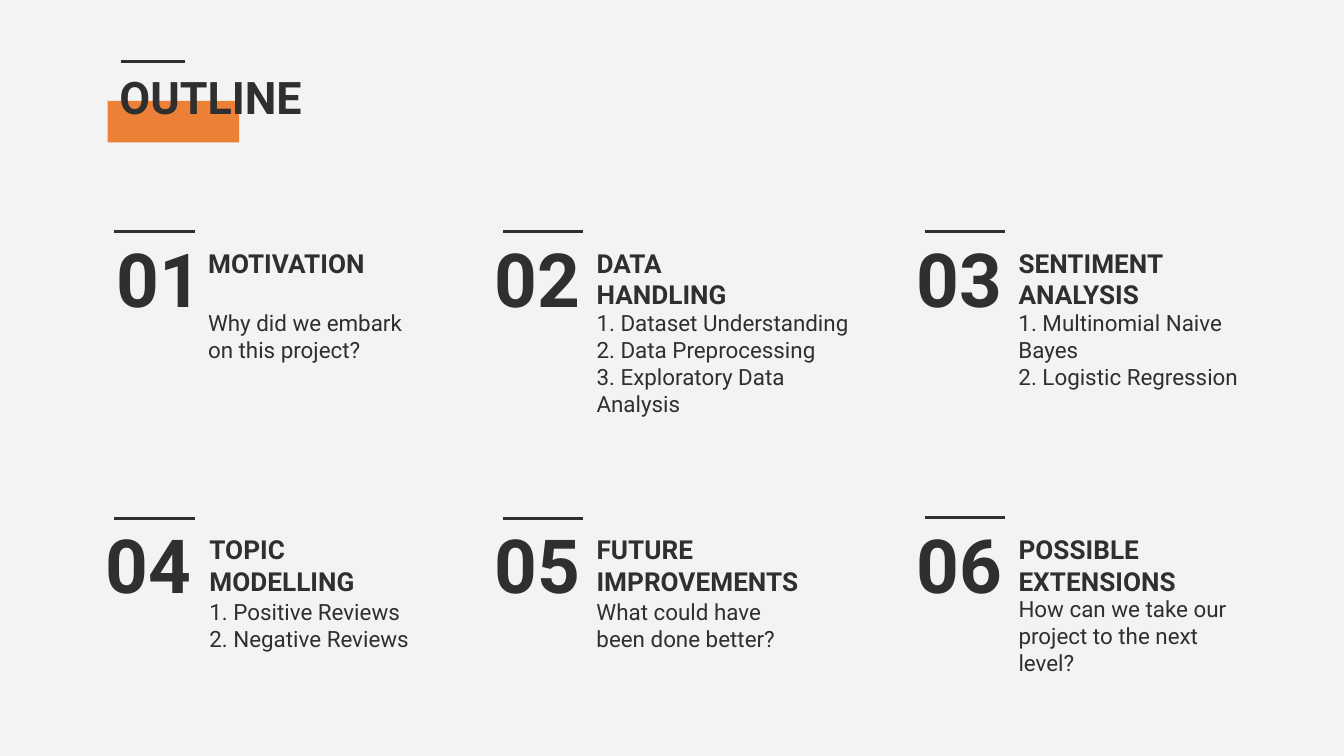
from dataclasses import dataclass

from pptx import Presentation
from pptx.dml.color import RGBColor
from pptx.enum import shapes, text
from pptx.oxml.ns import qn
from pptx.util import Inches, Pt
from lxml import etree


class Theme:
    font = "Roboto"
    paper = RGBColor.from_string("F3F3F3")
    ink = RGBColor.from_string("2F2F2F")
    accent = RGBColor.from_string("EC8037")
    title, number, head, body = 24, 40, 14, 12
    rule = 1.5


@dataclass
class Topic:
    head: list
    body: list
    wide: float = 1.73      # width of the body text
    drop: float = 0.57      # body top below the cell top
    bar: float = 0.09       # rule below the cell top
    nudge: float = 0        # shift of the number
    inset: float = 0.76     # text right of the cell left


COLS = [0.69, 3.58, 6.72]
ROWS = [1.63, 3.76]
TOPICS = [
    Topic(["MOTIVATION"], ["Why did we embark on this project?"],
          nudge=0.08),
    Topic(["DATA", "HANDLING"],
          ["1. Dataset Understanding", "2. Data Preprocessing",
           "3. Exploratory Data Analysis"], wide=2.22),
    Topic(["SENTIMENT", "ANALYSIS"],
          ["1. Multinomial Naive Bayes", "2. Logistic Regression"], wide=2.04),
    Topic(["TOPIC", "MODELLING"],
          ["1. Positive Reviews", "2. Negative Reviews"],
          drop=0.59, bar=0.1, inset=0.77),
    Topic(["FUTURE", "IMPROVEMENTS"], ["What could have been done better?"],
          drop=0.59, bar=0.1),
    Topic(["POSSIBLE", "EXTENSIONS"],
          ["How can we take our project to the next level?"], wide=1.91),
]


def write(slide, x, y, w, h, lines, size, bold=True):
    """Add a text box with one paragraph per line."""
    box = slide.shapes.add_textbox(Inches(x), Inches(y), Inches(w), Inches(h))
    frame = box.text_frame
    frame.word_wrap = True
    frame.vertical_anchor = text.MSO_ANCHOR.TOP
    frame.margin_left = frame.margin_right = Inches(0.1)
    frame.margin_top = frame.margin_bottom = Inches(0.1)
    for i, line in enumerate(lines):
        para = frame.add_paragraph() if i else frame.paragraphs[0]
        run = para.add_run()
        run.text = line
        run.font.name = Theme.font
        run.font.size = Pt(size)
        run.font.bold = bold
        run.font.color.rgb = Theme.ink


def add_rule(slide, x, y, w):
    line = slide.shapes.add_connector(
        shapes.MSO_CONNECTOR.STRAIGHT,
        Inches(x), Inches(y), Inches(x + w), Inches(y))
    line.line.color.rgb = Theme.ink
    line.line.width = Pt(Theme.rule)
    etree.SubElement(line._element.spPr, qn("a:effectLst"))


def add_title(slide, x, y, w, h):
    block = slide.shapes.add_shape(
        shapes.MSO_SHAPE.RECTANGLE,
        Inches(x + 0.01), Inches(y + 0.33), Inches(0.98), Inches(0.31))
    block.shadow.inherit = False
    block.fill.solid()
    block.fill.fore_color.rgb = Theme.accent
    block.line.fill.background()
    add_rule(slide, x + 0.11, y + 0.04, 0.48)
    write(slide, x, y, w, h, ["OUTLINE"], Theme.title)


def add_topic(slide, x, y, number, topic):
    """Place a numbered topic with its cell's top left at x, y."""
    left = x + topic.inset
    write(slide, left, y + 0.11, 1.91, 0.63, topic.head, Theme.head)
    write(slide, left, y + topic.drop, topic.wide, 0.63, topic.body,
          Theme.body, bold=False)
    write(slide, x + topic.nudge, y, 0.96, 0.63, [f"{number:02}"],
          Theme.number)
    add_rule(slide, x + 0.16, y + topic.bar, 0.6)


def main():
    deck = Presentation()
    deck.slide_width = Inches(10)
    deck.slide_height = deck.slide_width * 9 // 16
    slide = deck.slides.add_slide(deck.slide_layouts[6])
    slide.background.fill.solid()
    slide.background.fill.fore_color.rgb = Theme.paper
    add_title(slide, 0.79, 0.42, 3.22, 1.03)
    for i, topic in enumerate(TOPICS):
        row, col = divmod(i, len(COLS))
        add_topic(slide, COLS[col], ROWS[row], i + 1, topic)
    deck.save("out.pptx")


if __name__ == "__main__":
    main()
